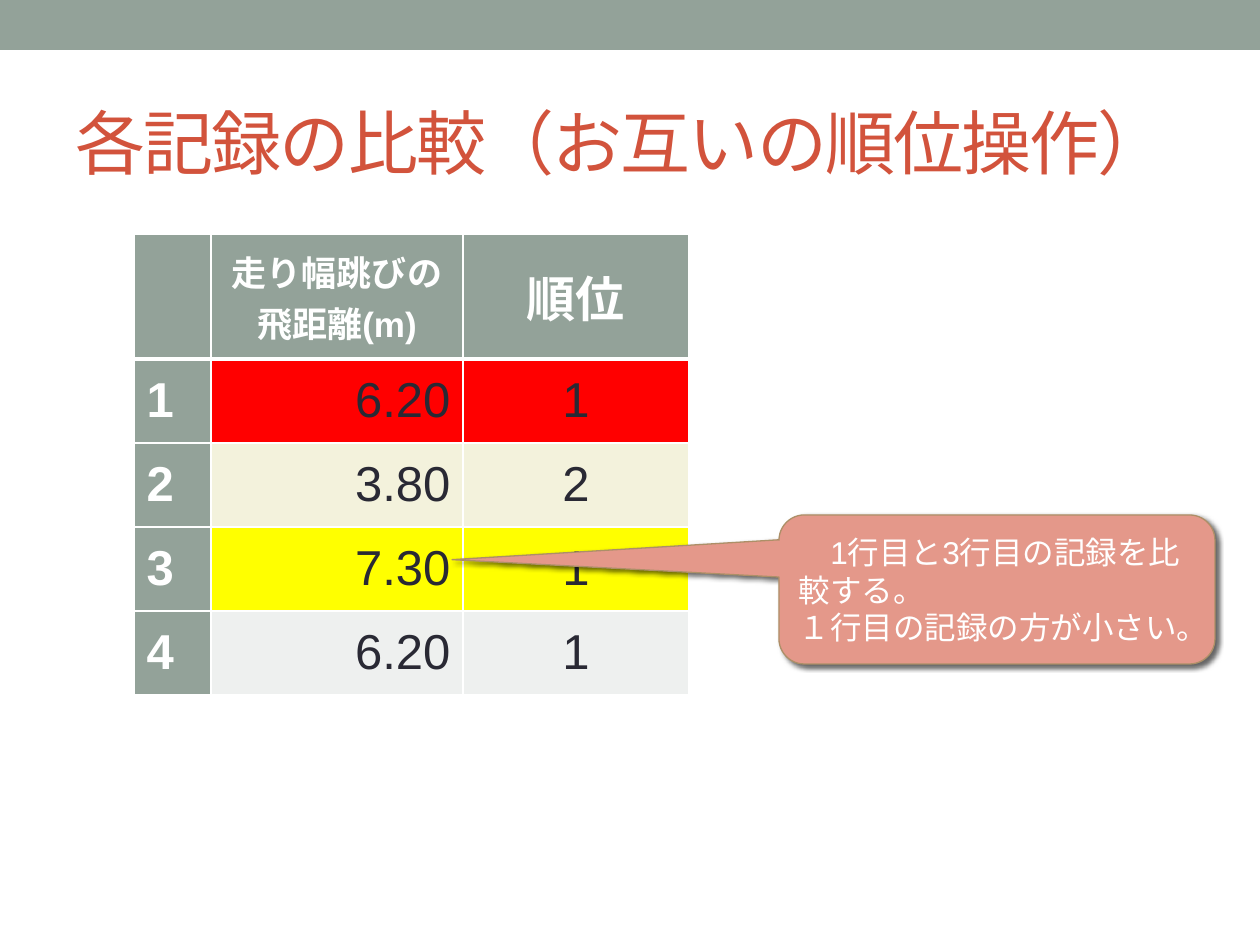
from lxml import etree
from pptx import Presentation
from pptx.dml.color import RGBColor
from pptx.enum.lang import MSO_LANGUAGE_ID
from pptx.enum.shapes import MSO_SHAPE
from pptx.enum.text import MSO_ANCHOR, PP_ALIGN
from pptx.oxml.ns import qn
from pptx.util import Pt

SCALE = 914400 // 126
RECT = MSO_SHAPE.RECTANGLE
CALLOUT = MSO_SHAPE.ROUNDED_RECTANGULAR_CALLOUT
LEFT, CENTER, RIGHT = PP_ALIGN.LEFT, PP_ALIGN.CENTER, PP_ALIGN.RIGHT
MIDDLE = MSO_ANCHOR.MIDDLE
JAPANESE = MSO_LANGUAGE_ID.JAPANESE
FONT = "Arial"
COLORS = {
    "white": "FFFFFF", "sage": "93A299", "title": "D2533C", "ink": "292934",
    "red": "FF0000", "cream": "F3F2DC", "yellow": "FFFF00", "pale": "EEF0EF",
    "salmon": "E4988A", "tan": "AD8F67", "black": "000000",
}
COLS = [77, 252, 226]
ROWS = [125, 84, 84, 84, 84]
HEADS = [("", 28), ("走り幅跳びの\n飛距離(m)", 20), ("順位", 28)]
JUMPS = [
    ("6.20", "1", "red"),
    ("3.80", "2", "cream"),
    ("7.30", "1", "yellow"),
    ("6.20", "1", "pale"),
]


def px(*sizes):
    return [size * SCALE for size in sizes]


def rgb(name):
    return RGBColor.from_string(COLORS[name])


def paint(item, name):
    item.fill.solid()
    item.fill.fore_color.rgb = rgb(name)


def write(frame, text, size, color, align=LEFT, bold=False):
    frame.text = text
    frame.word_wrap = True
    for para in frame.paragraphs:
        para.alignment = align
        font = para.font
        font.name, font.size, font.bold = FONT, Pt(size), bold
        font.color.rgb = rgb(color)
        font.language_id = JAPANESE


def add_color(parent, name):
    return etree.SubElement(parent, qn("a:srgbClr"), val=COLORS[name])


def add_borders(cell, base):
    """Draw white cell edges, with the given width in points at the base."""
    props = cell._tc.get_or_add_tcPr()
    for spot, (side, width) in enumerate(
            [("L", 1), ("R", 1), ("T", 1), ("B", base)]):
        line = etree.Element(qn(f"a:ln{side}"), w=str(Pt(width)))
        add_color(etree.SubElement(line, qn("a:solidFill")), "white")
        props.insert(spot, line)


def fill_cell(cell, text, size, fill, color, align, bold, base=1):
    write(cell.text_frame, text, size, color, align, bold)
    cell.vertical_anchor = MIDDLE
    paint(cell, fill)
    add_borders(cell, base)


def add_band(slide):
    band = slide.shapes.add_shape(RECT, *px(0, 0, 1260, 50))
    band.shadow.inherit = False
    paint(band, "sage")
    band.line.fill.background()


def add_title(slide, text):
    box = slide.shapes.add_textbox(*px(63, 73, 1134, 136))
    frame = box.text_frame
    frame.vertical_anchor = MIDDLE
    write(frame, text, 40, "title")
    run = frame.paragraphs[0].runs[0]
    run.font._element.set("spc", "-100")


def add_ranks(slide):
    frame = slide.shapes.add_table(
        len(ROWS), len(COLS), *px(134, 234, sum(COLS), sum(ROWS)))
    table = frame.table
    for col, width in zip(table.columns, px(*COLS)):
        col.width = width
    for row, height in zip(table.rows, px(*ROWS)):
        row.height = height
    for col, (text, size) in enumerate(HEADS):
        fill_cell(table.cell(0, col), text, size,
                  "sage", "white", CENTER, True, 3)
    for row, (jump, rank, fill) in enumerate(JUMPS, 1):
        fill_cell(table.cell(row, 0), str(row), 28,
                  "sage", "white", LEFT, True)
        fill_cell(table.cell(row, 1), jump, 28, fill, "ink", RIGHT, False)
        fill_cell(table.cell(row, 2), rank, 28, fill, "ink", CENTER, False)


def add_shadow(shape):
    shape.shadow.inherit = False
    effects = shape._element.spPr.find(qn("a:effectLst"))
    shadow = etree.SubElement(
        effects, qn("a:outerShdw"), blurRad=str(Pt(3)), dist=str(Pt(2)),
        dir="2700000", algn="tl", rotWithShape="0")
    etree.SubElement(add_color(shadow, "black"), qn("a:alpha"), val="60000")


def add_callout(slide, text):
    note = slide.shapes.add_shape(CALLOUT, *px(779, 515, 436, 149))
    for spot, value in enumerate([-1.25, -0.2, 0.17]):
        note.adjustments[spot] = value
    paint(note, "salmon")
    note.line.color.rgb = rgb("tan")
    note.line.width = Pt(0.75)
    add_shadow(note)
    note.text_frame.vertical_anchor = MIDDLE
    write(note.text_frame, text, 18, "white")


def main():
    deck = Presentation()
    deck.slide_width, deck.slide_height = px(1260, 945)
    slide = deck.slides.add_slide(deck.slide_layouts[6])
    add_band(slide)
    add_ranks(slide)
    add_title(slide, "各記録の比較（お互いの順位操作）")
    add_callout(slide, "　1行目と3行目の記録を比較する。\n"
                       "１行目の記録の方が小さい。")
    deck.save("out.pptx")


if __name__ == "__main__":
    main()
